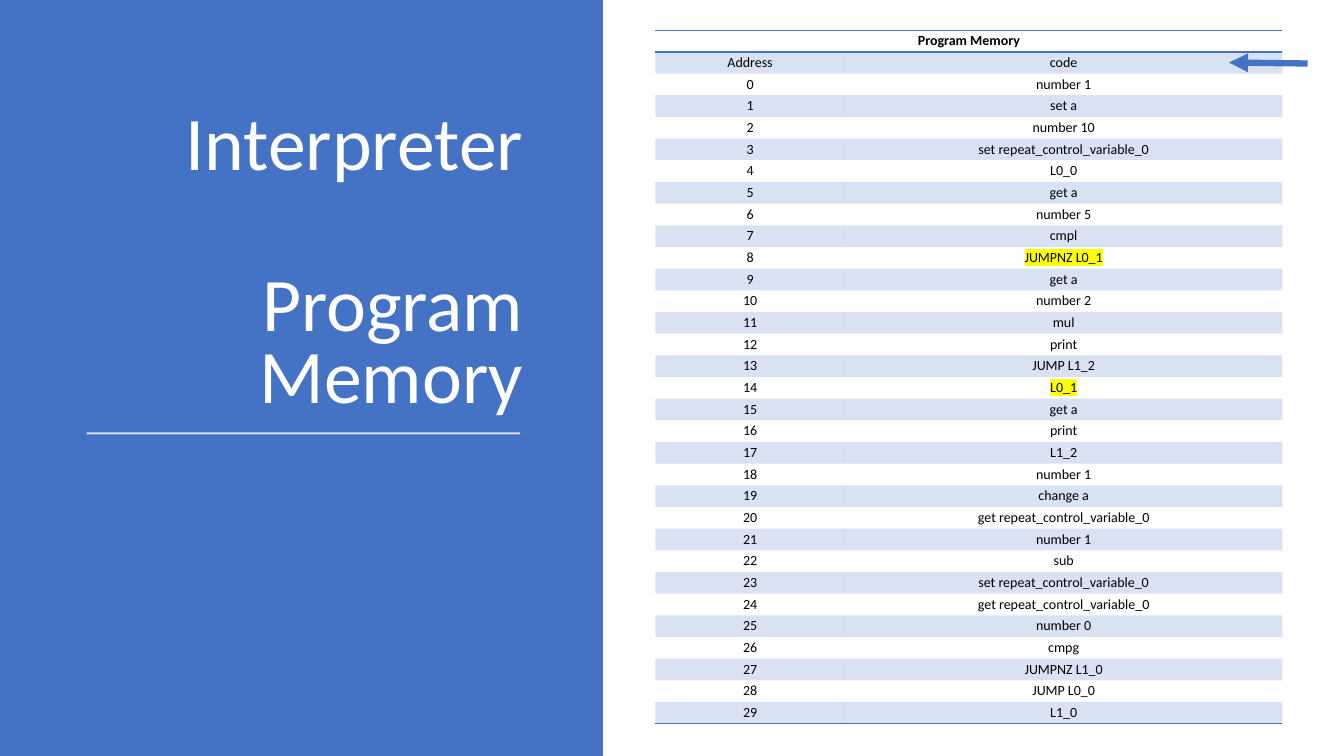
from typing import NamedTuple, Optional

from lxml.etree import SubElement
from pptx import Presentation
from pptx.dml.color import RGBColor
from pptx.enum.dml import MSO_THEME_COLOR  # noqa: F401
from pptx.enum.shapes import MSO_CONNECTOR, MSO_SHAPE
from pptx.enum.text import MSO_ANCHOR, MSO_AUTO_SIZE, PP_ALIGN
from pptx.oxml.ns import qn
from pptx.util import Emu, Inches, Pt

BLUE = RGBColor(0x44, 0x72, 0xC4)
WHITE = RGBColor(0xFF, 0xFF, 0xFF)
BLACK = RGBColor(0, 0, 0)
YELLOW = RGBColor(0xFF, 0xFF, 0x00)
FONT = "Calibri"
NO_GRID_STYLE = "{2D5ABB26-0587-4C30-8999-92F81FD0307C}"
SLIDE_W, SLIDE_H = Inches(13.33), Inches(7.5)

CODE = (
    "number 1", "set a", "number 10", "set repeat_control_variable_0", "L0_0",
    "get a", "number 5", "cmpl", "JUMPNZ L0_1", "get a", "number 2", "mul",
    "print", "JUMP L1_2", "L0_1", "get a", "print", "L1_2", "number 1",
    "change a", "get repeat_control_variable_0", "number 1", "sub",
    "set repeat_control_variable_0", "get repeat_control_variable_0",
    "number 0", "cmpg", "JUMPNZ L1_0", "JUMP L0_0", "L1_0",
)
MARKED = {"JUMPNZ L0_1", "L0_1"}


class Box(NamedTuple):
    """Left, top, width and height in percent of the slide."""
    left: float
    top: float
    width: float
    height: float

    def emu(self) -> tuple:
        return (across(self.left), down(self.top),
                across(self.width), down(self.height))


class Line(NamedTuple):
    """End points in percent of the slide, width in points."""
    x1: float
    y1: float
    x2: float
    y2: float
    color: RGBColor
    width: float
    opacity: Optional[int] = None
    arrow: bool = False


PANEL = Box(0, 0, 44.86, 100)
TITLE = Box(5.18, 11.73, 34.5, 44.27)
TABLE = Box(48.76, 4, 46.66, 91.87)
ADDRESS_WIDTH = 14.1
UNDERLINE = Line(6.45, 57.33, 38.7, 57.33, WHITE, 1.5, opacity=80)
POINTER = Line(97.3, 8.4, 91.45, 8.27, BLUE, 4.5, arrow=True)


def across(percent: float) -> Emu:
    return Emu(round(SLIDE_W * percent / 100))


def down(percent: float) -> Emu:
    return Emu(round(SLIDE_H * percent / 100))


def set_opacity(parent, percent: int) -> None:
    """Make the solid colour found under an XML element see-through."""
    clr = parent.find(".//" + qn("a:srgbClr"))
    SubElement(clr, qn("a:alpha"), val=str(percent * 1000))


def add_line(slide, line: Line) -> None:
    c = slide.shapes.add_connector(
        MSO_CONNECTOR.STRAIGHT, across(line.x1), down(line.y1),
        across(line.x2), down(line.y2))
    c.line.color.rgb = line.color
    c.line.width = Pt(line.width)
    sp_pr = c._element.spPr
    ln = sp_pr.find(qn("a:ln"))
    if line.opacity is not None:
        set_opacity(ln, line.opacity)
    if line.arrow:
        SubElement(ln, qn("a:tailEnd"), type="triangle")
    SubElement(sp_pr, qn("a:effectLst"))


def add_panel(slide) -> None:
    sp = slide.shapes.add_shape(MSO_SHAPE.RECTANGLE, *PANEL.emu())
    sp.shadow.inherit = False
    sp.fill.solid()
    sp.fill.fore_color.rgb = BLUE
    sp.line.fill.background()


def add_title(slide) -> None:
    """Format the title placeholder and bring it in front of the panel."""
    sp = slide.shapes.title
    sp.left, sp.top, sp.width, sp.height = TITLE.emu()
    slide.shapes._spTree.append(sp._element)
    tf = sp.text_frame
    tf.text = "Interpreter\nProgram Memory"
    tf.word_wrap = True
    tf.auto_size = MSO_AUTO_SIZE.NONE
    tf.vertical_anchor = MSO_ANCHOR.BOTTOM
    for p, before in zip(tf.paragraphs, (0, 57)):
        p.alignment = PP_ALIGN.RIGHT
        p.line_spacing = 0.8
        p.space_before, p.space_after = Pt(before), Pt(6)
        font = p.runs[0].font
        font.name, font.size, font.color.rgb = FONT, Pt(54), WHITE


def write_cell(cell, text: str, bold: bool = False, banded: bool = False) -> None:
    cell.margin_left = cell.margin_right = 0
    cell.margin_top = cell.margin_bottom = 0
    cell.vertical_anchor = MSO_ANCHOR.MIDDLE
    if banded:
        cell.fill.solid()
        cell.fill.fore_color.rgb = BLUE
        set_opacity(cell._tc.tcPr, 20)
    else:
        cell.fill.background()
    p = cell.text_frame.paragraphs[0]
    p.text = text
    p.alignment = PP_ALIGN.CENTER
    for r in p.runs:
        font = r.font
        font.name, font.size, font.bold = FONT, Pt(10), bold
        font.color.rgb = BLACK
        if text in MARKED:
            r_pr = r._r.get_or_add_rPr()
            mark = SubElement(r_pr, qn("a:highlight"))
            SubElement(mark, qn("a:srgbClr"), val=str(YELLOW))
            r_pr.find(qn("a:solidFill")).addnext(mark)


def add_border(cell, tag: str) -> None:
    """Rule one side of a cell; call for the bottom before the top."""
    tc_pr = cell._tc.get_or_add_tcPr()
    ln = SubElement(tc_pr, qn(tag), w=str(Pt(1)))
    fill = SubElement(ln, qn("a:solidFill"))
    SubElement(fill, qn("a:srgbClr"), val=str(BLUE))
    tc_pr.insert(0, ln)


def add_memory_table(slide) -> None:
    rows = [("Program Memory", ""), ("Address", "code")]
    rows += [(str(address), code) for address, code in enumerate(CODE)]
    table = slide.shapes.add_table(len(rows), 2, *TABLE.emu()).table
    table.first_row = table.horz_banding = False
    table._tbl.tblPr.find(qn("a:tableStyleId")).text = NO_GRID_STYLE
    table.columns[0].width = across(ADDRESS_WIDTH)
    table.columns[1].width = across(TABLE.width - ADDRESS_WIDTH)
    for i, texts in enumerate(rows):
        table.rows[i].height = down(TABLE.height / len(rows))
        for j, text in enumerate(texts):
            write_cell(table.cell(i, j), text, bold=i == 0, banded=i % 2 == 1)
    for j in range(2):
        add_border(table.cell(0, j), "a:lnB")
        add_border(table.cell(0, j), "a:lnT")
        add_border(table.cell(len(rows) - 1, j), "a:lnB")
    table.cell(0, 0).merge(table.cell(0, 1))


def main() -> None:
    prs = Presentation()
    prs.slide_width, prs.slide_height = SLIDE_W, SLIDE_H
    slide = prs.slides.add_slide(prs.slide_layouts[5])
    add_panel(slide)
    add_title(slide)
    add_line(slide, UNDERLINE)
    add_memory_table(slide)
    add_line(slide, POINTER)
    prs.save("out.pptx")


if __name__ == "__main__":
    main()
